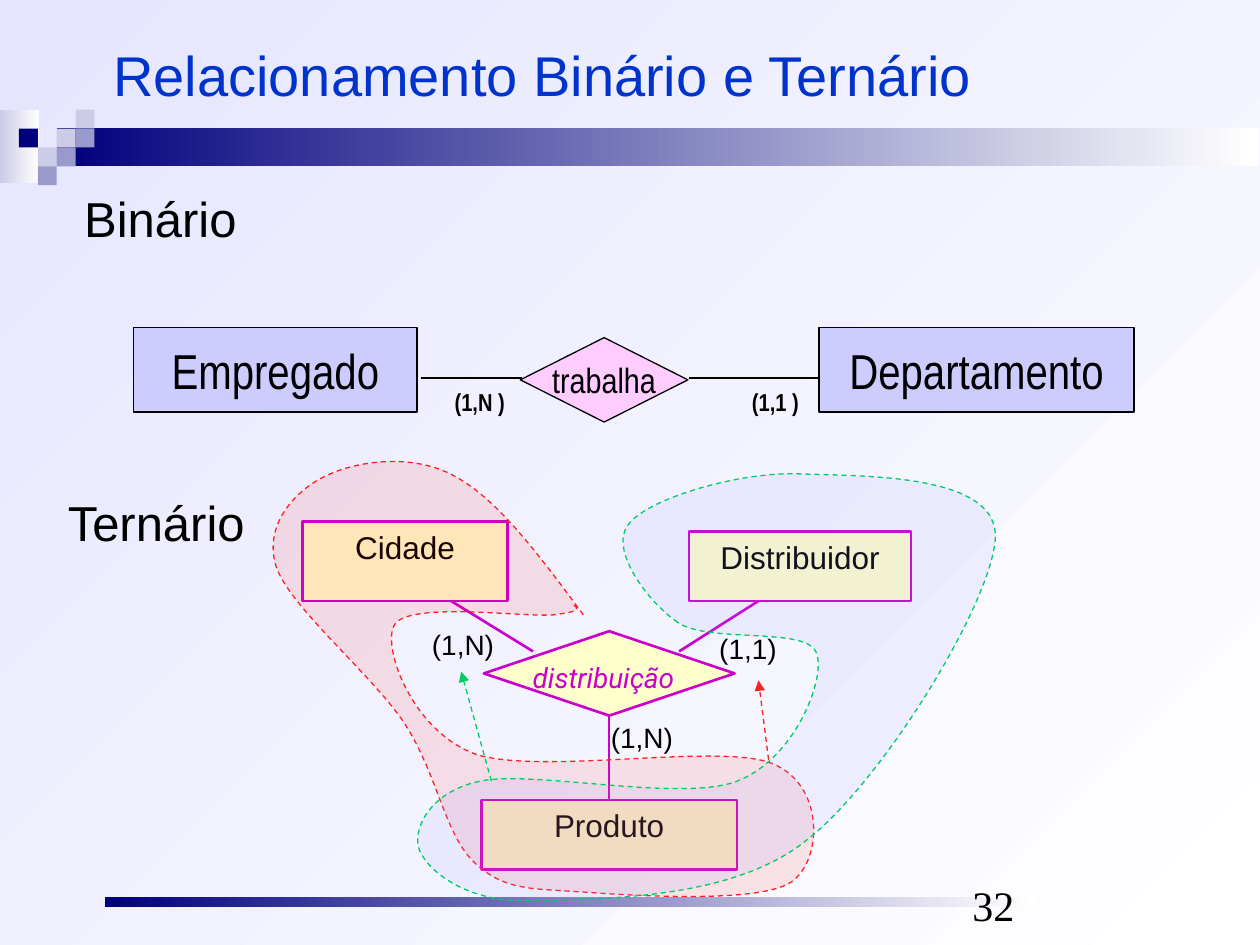
from lxml import etree
from pptx import Presentation
from pptx.dml.color import RGBColor
from pptx.enum import dml, shapes, text
from pptx.oxml.ns import qn
from pptx.util import Inches, Pt

BLACK = RGBColor(0, 0, 0)
WHITE = RGBColor(255, 255, 255)
NAVY = RGBColor(0x00, 0x00, 0x7D)
MIST = RGBColor(0xCC, 0xCC, 0xE6)
LAVENDER = RGBColor(0x99, 0x99, 0xCC)
SKY = RGBColor(0xE5, 0xE5, 0xFF)
TITLE_BLUE = RGBColor(0x00, 0x33, 0xCC)
PERIWINKLE = RGBColor(0xCC, 0xCC, 0xFF)
PINK = RGBColor(0xFF, 0xCC, 0xFF)
CREAM = RGBColor(0xFF, 0xFF, 0xCC)
MAGENTA = RGBColor(0xCC, 0x00, 0xCC)
RED = RGBColor(0xFF, 0x21, 0x21)
GREEN = RGBColor(0x00, 0xCC, 0x66)
BLUE_TINT = RGBColor(0x99, 0x99, 0xFF)

RECT = shapes.MSO_SHAPE.RECTANGLE
DECISION = shapes.MSO_SHAPE.FLOWCHART_DECISION
MIDDLE, TOP, BOTTOM = (text.MSO_ANCHOR.MIDDLE, text.MSO_ANCHOR.TOP,
                       text.MSO_ANCHOR.BOTTOM)

# Decoration: gradient bars, then squares as (column, row, colour)
BARS = [((0, 0.87, 0.31, 0.58), MIST), ((0.45, 1.02, 9.54, 0.3), NAVY),
        ((0.83, 7.12, 7.38, 0.08), NAVY)]
SQUARE, SQUARES_TOP = 0.15, 0.87
SQUARES = [(3, 1, MIST), (4, 0, MIST), (4, 1, LAVENDER), (2, 2, MIST),
           (1, 1, NAVY), (3, 2, LAVENDER), (2, 3, LAVENDER)]

# Binary diagram: kind, place, fill, label, size
BINARY = [(RECT, (1.06, 2.6, 2.25, 0.67), PERIWINKLE, "Empregado", 28),
          (RECT, (6.5, 2.6, 2.5, 0.67), PERIWINKLE, "Departamento", 28),
          (DECISION, (4.13, 2.68, 1.33, 0.67), PINK, "trabalha", 20)]
BINARY_LINES = [((5.47, 3), (6.5, 3)), ((4.14, 3), (3.34, 3))]
BINARY_LIMITS = [("(1,N )", (3.51, 3.02, 0.6, 0.34)),
                 ("(1,1 )", (5.87, 3.02, 0.57, 0.34))]

# Ternary diagram
TERNARY = [("Cidade", (2.4, 4.14, 1.63, 0.63)),
           ("Distribuidor", (5.47, 4.22, 1.76, 0.55)),
           ("Produto", (3.82, 6.35, 2.03, 0.55))]
TERNARY_LINES = [((3.58, 4.77), (4.23, 5.17)), ((5.39, 5.17), (6.02, 4.77))]
TERNARY_LIMITS = [("(1,1)", (5.61, 4.96, 0.71, 0.37)),
                  ("(1,N)", (3.33, 4.93, 0.75, 0.37)),
                  ("(1,N)", (4.75, 5.67, 0.75, 0.37))]
HEADINGS = [("Binário", (0.57, 1.45, 1.41, 0.57)),
            ("Ternário", (0.44, 3.86, 1.64, 0.57))]

# Regions: Bézier points (start, then control, control, end for each curve)
RED_REGION = [
    (4.63, 4.88), (4.29, 4.42), (3.95, 3.96), (3.61, 3.78),
    (3.27, 3.59), (2.82, 3.66), (2.58, 3.78), (2.35, 3.89), (2.09, 4.16), (2.19, 4.49),
    (2.29, 4.81), (2.95, 5.35), (3.21, 5.74), (3.47, 6.14), (3.53, 6.62), (3.76, 6.84),
    (4, 7.07), (4.21, 7.05), (4.63, 7.08), (5.05, 7.11), (6.03, 7.17), (6.28, 7),
    (6.53, 6.83), (6.55, 6.23), (6.13, 6.06), (5.71, 5.89), (4.26, 6.16), (3.76, 5.98),
    (3.27, 5.79), (3.03, 5.14), (3.13, 4.96), (3.24, 4.77), (4.16, 4.9), (4.39, 4.88),
    (4.63, 4.85), (4.59, 4.83), (4.55, 4.8)]
GREEN_REGION = [
    (5.38, 4.94), (5.13, 4.77), (4.83, 4.35), (4.99, 4.16),
    (5.14, 3.96), (5.84, 3.75), (6.32, 3.76), (6.81, 3.78), (7.88, 3.75), (7.9, 4.24),
    (7.91, 4.72), (7.02, 6.19), (6.4, 6.67), (5.79, 7.16), (4.71, 7.13), (4.2, 7.15),
    (3.69, 7.16), (3.4, 6.91), (3.33, 6.75), (3.27, 6.6), (3.39, 6.29), (3.81, 6.2),
    (4.23, 6.11), (5.41, 6.37), (5.85, 6.2), (6.3, 6.03), (6.56, 5.39), (6.48, 5.18),
    (6.4, 4.97), (5.63, 5.11), (5.38, 4.94)]
# points, closed, fill, opacity %, line colour, arrow start, arrow end
REGIONS = [(RED_REGION, False, RED, 11, RED, (6.1, 6.03), (6.02, 5.4)),
           (GREEN_REGION, True, BLUE_TINT, 12, GREEN, (3.9, 6.2), (3.66, 5.33))]

presentation = Presentation()
presentation.slide_width, presentation.slide_height = Inches(10), Inches(7.5)
slide = presentation.slides.add_slide(presentation.slide_layouts[6])


def inches(values):
    return [Inches(value) for value in values]


def set_gradient(fill, start, end, angle):
    fill.gradient()
    fill.gradient_angle = angle
    for stop, color in zip(fill.gradient_stops, (start, end)):
        stop.color.rgb = color


def set_line(line, color, width, dashed=False):
    line.color.rgb = color
    line.width = Pt(width)
    if dashed:
        line.dash_style = dml.MSO_LINE.DASH


def write(shape, words, size, font="Arial", color=BLACK, anchor=TOP, wrap=True,
          centered=False, bold=False, italic=False):
    frame = shape.text_frame
    frame.text = words
    frame.word_wrap = wrap
    frame.vertical_anchor = anchor
    paragraph = frame.paragraphs[0]
    paragraph.alignment = text.PP_ALIGN.CENTER if centered else text.PP_ALIGN.LEFT
    run_font = paragraph.runs[0].font
    run_font.name, run_font.size = font, Pt(size)
    run_font.bold, run_font.italic = bold, italic
    run_font.color.rgb = color


def add_text(words, place, size, **style):
    write(slide.shapes.add_textbox(*inches(place)), words, size, **style)


def add_block(kind, place, color=None, line=None, width=0.75):
    shape = slide.shapes.add_shape(kind, *inches(place))
    shape.shadow.inherit = False
    if color is not None:
        shape.fill.solid()
        shape.fill.fore_color.rgb = color
    if line is None:
        shape.line.fill.background()
    else:
        set_line(shape.line, line, width)
    return shape


def add_line(start, end, color, width, arrow=False):
    connector = slide.shapes.add_connector(
        shapes.MSO_CONNECTOR.STRAIGHT, *inches(start + end))
    set_line(connector.line, color, width, dashed=arrow)
    properties = connector._element.spPr
    if arrow:
        etree.SubElement(properties.find(qn("a:ln")), qn("a:tailEnd"), type="triangle")
    etree.SubElement(properties, qn("a:effectLst"))
    return connector


def add_curve(points, closed):
    """Frame a freeform on the points' extent, then give it cubic curves."""
    left, top = (min(axis) for axis in zip(*points))
    right, bottom = (max(axis) for axis in zip(*points))
    builder = slide.shapes.build_freeform(*inches((left, top)))
    builder.add_line_segments([inches((right, bottom))], close=closed)
    shape = builder.convert_to_shape()
    outline = next(shape._element.iter(qn("a:path")))
    for segment in list(outline):
        outline.remove(segment)

    def add_segment(tag, segment_points):
        segment = etree.SubElement(outline, qn(tag))
        for x, y in segment_points:
            etree.SubElement(segment, qn("a:pt"), x=str(Inches(x - left)),
                             y=str(Inches(y - top)))

    add_segment("a:moveTo", points[:1])
    for i in range(1, len(points), 3):
        add_segment("a:cubicBezTo", points[i:i + 3])
    if closed:
        add_segment("a:close", [])
    return shape


# Background and decoration
set_gradient(slide.background.fill, WHITE, SKY, 135)
for place, color in BARS:
    set_gradient(add_block(RECT, place).fill, WHITE, color, 180)
for column, row, color in SQUARES:
    add_block(RECT, (column * SQUARE, SQUARES_TOP + row * SQUARE, SQUARE, SQUARE), color)

add_text("Relacionamento Binário e Ternário", (0.8, 0.13, 9, 0.91), 32,
         color=TITLE_BLUE, anchor=MIDDLE)

# Binary relationship
for kind, place, color, label, size in BINARY:
    write(add_block(kind, place, color, BLACK), label, size, font="Arial Narrow",
          anchor=MIDDLE, wrap=False, centered=True)
for start, end in BINARY_LINES:
    add_line(start, end, BLACK, 0.75)
for label, place in BINARY_LIMITS:
    add_text(label, place, 14, font="Arial Narrow", wrap=False, bold=True)

# Ternary relationship
entities = {}
for label, place in TERNARY:
    entities[label] = add_block(RECT, place, CREAM, MAGENTA, 1.5)
    write(entities[label], label, 18, centered=True)
distribution = add_block(shapes.MSO_SHAPE.DIAMOND, (3.84, 5.01, 1.99, 0.67),
                         CREAM, MAGENTA, 1.5)
add_text("distribuição", (4.13, 5.19, 1.36, 0.37), 16, font="Roboto",
         color=MAGENTA, wrap=False, italic=True)
for start, end in TERNARY_LINES:
    add_line(start, end, MAGENTA, 1.5)
product_line = add_line((4.83, 5.68), (4.83, 6.35), MAGENTA, 1.5)
product_line.begin_connect(distribution, 2)
product_line.end_connect(entities["Produto"], 0)
for label, place in HEADINGS:
    add_text(label, place, 28, wrap=False)
for label, place in TERNARY_LIMITS:
    add_text(label, place, 16, wrap=False)

# Dashed regions with their arrows
for points, closed, color, opacity, line, start, end in REGIONS:
    region = add_curve(points, closed)
    region.shadow.inherit = False
    region.fill.solid()
    region.fill.fore_color.rgb = color
    solid_color = region._element.spPr.find(qn("a:solidFill"))[0]
    etree.SubElement(solid_color, qn("a:alpha"), val=str(opacity * 1000))
    set_line(region.line, line, 0.75, dashed=True)
    add_line(start, end, line, 0.75, arrow=True)

# Slide number
add_text("32", (7.62, 6.93, 2.33, 0.5), 24, font="Times New Roman", anchor=BOTTOM)

presentation.save("out.pptx")
